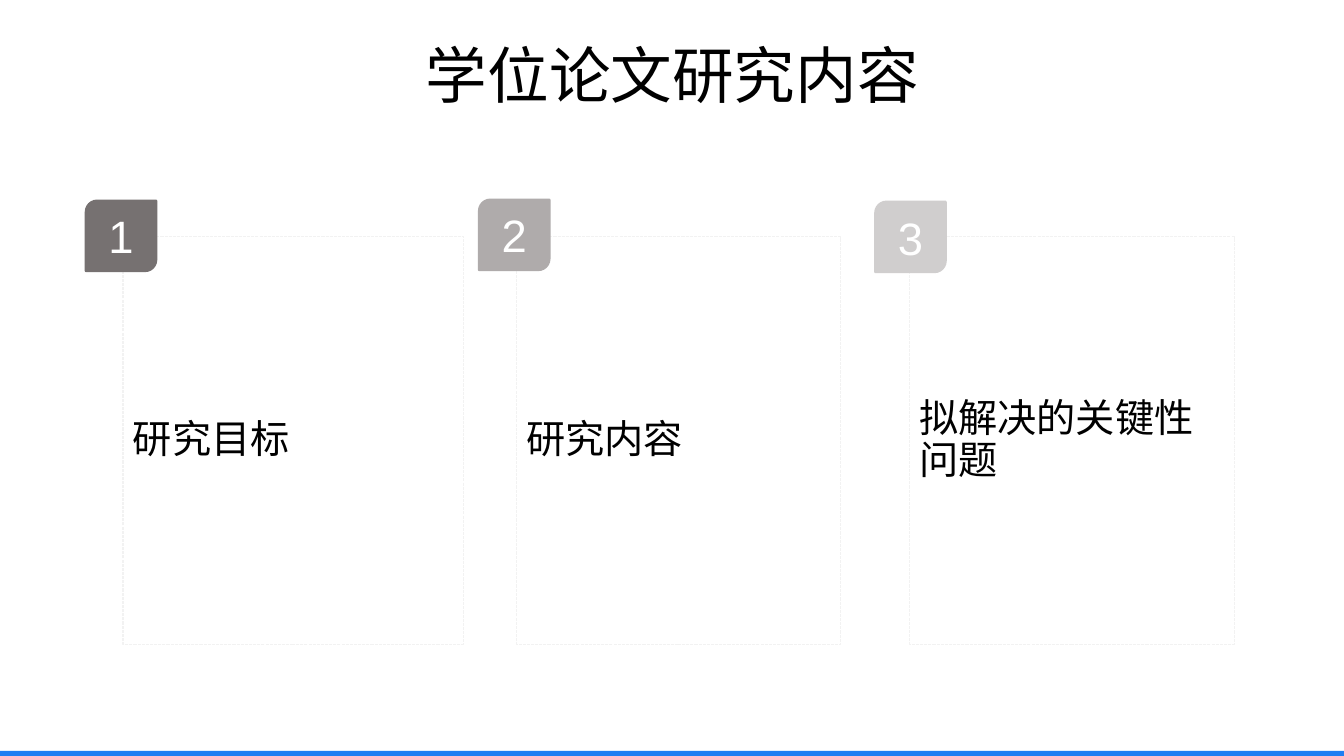
"""Build the thesis research content slide with three numbered cards."""
from dataclasses import dataclass

from pptx import Presentation
from pptx import util as u
from pptx.dml.color import RGBColor
from pptx.enum import dml, shapes, text


@dataclass(frozen=True)
class Theme:
    font: str = "Arial"
    ink: str = "000000"
    white: str = "FFFFFF"
    border: str = "F2F2F2"
    accent: str = "1E7EF2"
    title_size: float = 44
    card_size: float = 28
    badge_size: float = 32.4


@dataclass(frozen=True)
class Card:
    label: str
    width: float
    badge_left: float
    badge_top: float
    badge_color: str


THEME = Theme()
CARDS = [
    Card("研究目标", 3.38, 0.84, 1.98, "767171"),
    Card("研究内容", 3.22, 4.74, 1.97, "AFABAB"),
    Card("拟解决的关键性问题", 3.22, 8.67, 1.99, "D0CECE"),
]
CARD_LEFT, CARD_STEP, CARD_TOP, CARD_HEIGHT = 1.22, 3.9, 2.35, 4.04
BADGE_SIDE = 0.72


def add_box(s, kind, left: float, top: float, width: float, height: float, fill: str = ""):
    """Add a shape without shadow or outline, filled if a colour is given."""
    sp = s.shapes.add_shape(kind, *map(u.Inches, (left, top, width, height)))
    sp.shadow.inherit = False
    sp.line.fill.background()
    if fill:
        sp.fill.solid()
        sp.fill.fore_color.rgb = RGBColor.from_string(fill)
    else:
        sp.fill.background()
    return sp


def write(sp, words: str, size: float, color: str, align, anchor):
    """Write one formatted paragraph into a shape and return it."""
    tf = sp.text_frame
    tf.text = words
    tf.word_wrap = True
    tf.auto_size = text.MSO_AUTO_SIZE.NONE
    tf.vertical_anchor = anchor
    p = tf.paragraphs[0]
    p.alignment = align
    r = p.runs[0]
    r.font.name = THEME.font
    r.font.size = u.Pt(size)
    r.font.color.rgb = RGBColor.from_string(color)
    return p


def add_title(s, words: str) -> None:
    """Place and format the title placeholder."""
    sp = s.shapes.title
    sp.left, sp.top, sp.width, sp.height = map(u.Inches, (0.92, 0.4, 11.5, 1.45))
    p = write(sp, words, THEME.title_size, THEME.ink,
              text.PP_ALIGN.CENTER, text.MSO_ANCHOR.TOP)
    p.line_spacing = 0.9


def add_card(s, index: int, card: Card) -> None:
    """Draw the dashed frame of a card with its label."""
    sp = add_box(s, shapes.MSO_SHAPE.RECTANGLE, CARD_LEFT + index * CARD_STEP,
                 CARD_TOP, card.width, CARD_HEIGHT)
    sp.line.color.rgb = RGBColor.from_string(THEME.border)
    sp.line.width = u.Pt(0.75)
    sp.line.dash_style = dml.MSO_LINE.SQUARE_DOT
    p = write(sp, card.label, THEME.card_size, THEME.ink,
              text.PP_ALIGN.LEFT, text.MSO_ANCHOR.MIDDLE)
    p.line_spacing = 0.9
    p.space_before = u.Pt(10)


def add_badge(s, index: int, card: Card) -> None:
    """Draw the numbered badge at the corner of a card."""
    sp = add_box(s, shapes.MSO_SHAPE.ROUND_2_DIAG_RECTANGLE, card.badge_left,
                 card.badge_top, BADGE_SIDE, BADGE_SIDE, card.badge_color)
    sp.adjustments[0], sp.adjustments[1] = 0.17, 0.02
    write(sp, str(index + 1), THEME.badge_size, THEME.white,
          text.PP_ALIGN.CENTER, text.MSO_ANCHOR.MIDDLE)


def main() -> None:
    """Build and save the slide."""
    prs = Presentation()
    prs.slide_width, prs.slide_height = u.Inches(13.33), u.Inches(7.5)
    s = prs.slides.add_slide(prs.slide_layouts[5])
    add_box(s, shapes.MSO_SHAPE.RECTANGLE, 0, 7.45, 13.33, 0.05, THEME.accent)
    for index, card in enumerate(CARDS):
        add_card(s, index, card)
        add_badge(s, index, card)
    add_title(s, "学位论文研究内容")
    prs.save("out.pptx")


if __name__ == "__main__":
    main()
